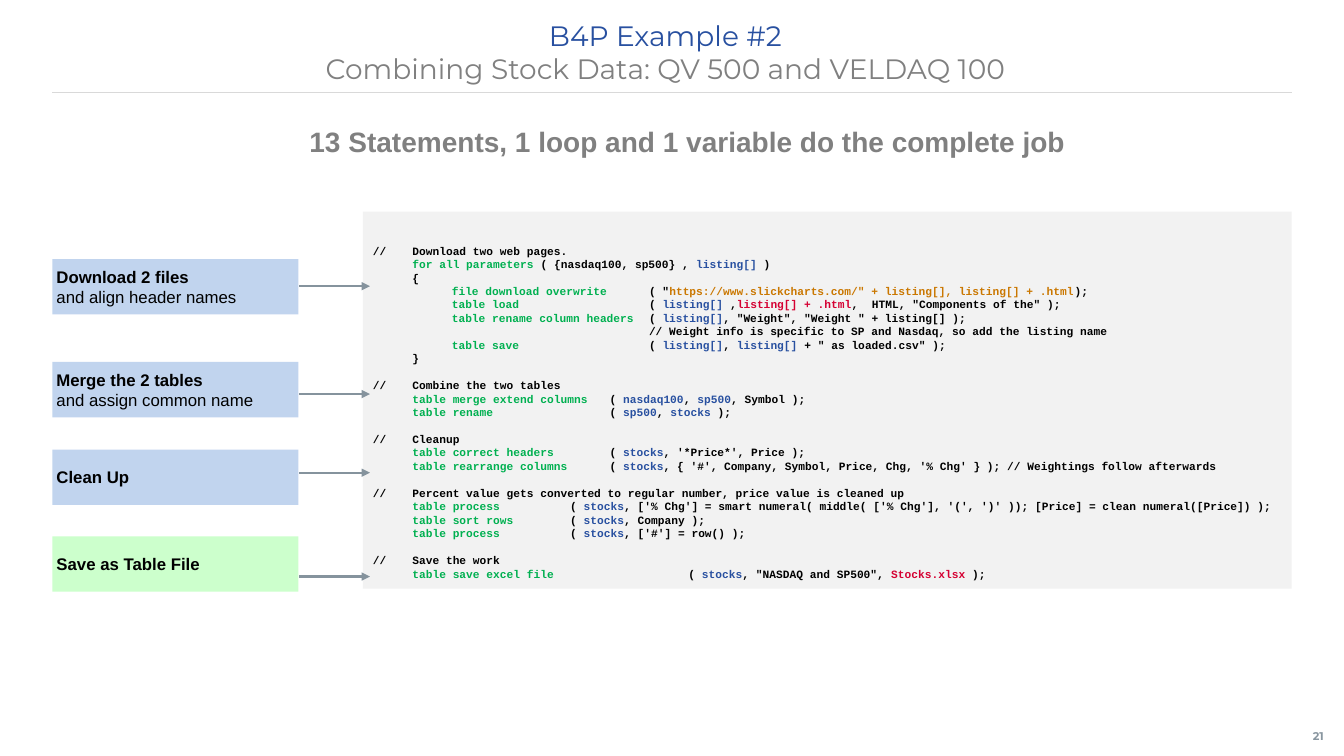
"""Build the B4P example slide with its commented code listing."""
import lxml.etree
import pptx
import pptx.dml.color
import pptx.enum.shapes
import pptx.enum.text
import pptx.oxml.ns
import pptx.util

Inches, Pt = pptx.util.Inches, pptx.util.Pt
RGBColor = pptx.dml.color.RGBColor
ANCHOR = pptx.enum.text.MSO_ANCHOR
ALIGN = pptx.enum.text.PP_ALIGN
AUTO_SIZE = pptx.enum.text.MSO_AUTO_SIZE
qn = pptx.oxml.ns.qn

BLACK = RGBColor(0x00, 0x00, 0x00)
GREEN = RGBColor(0x00, 0xB0, 0x50)
BLUE = RGBColor(0x28, 0x50, 0xA0)
ORANGE = RGBColor(0xCA, 0x77, 0x00)
RED = RGBColor(0xD5, 0x00, 0x32)
GREY = RGBColor(0x80, 0x80, 0x80)
NUMBER_GREY = RGBColor(0x89, 0x96, 0xA0)
ARROW_GREY = RGBColor(0x85, 0x93, 0x9D)
RULE_GREY = RGBColor(0xD9, 0xD9, 0xD9)
PANEL_GREY = RGBColor(0xF2, 0xF2, 0xF2)
STEP_BLUE = RGBColor(0xC1, 0xD4, 0xEE)
STEP_GREEN = RGBColor(0xCC, 0xFF, 0xCC)

CODE_COLOURS = {"k": BLACK, "g": GREEN, "b": BLUE, "o": ORANGE, "r": RED}

# Each "|" starts a run; the letter after it is a key of CODE_COLOURS.
CODE_SECTIONS = [
    [
        "k//\tDownload two web pages.",
        "k\t|gfor all parameters|k ( {nasdaq100, sp500} , |blisting[]|k )",
        "k\t{",
        "k\t\t|gfile download overwrite|k\t\t( \""
        "|ohttps://www.slickcharts.com/\" + listing[], listing[] + .html|k);",
        "k\t\t|gtable load|k\t\t\t\t( |blisting[]|k ,|rlisting[] + .html"
        "|k,  HTML, \"Components of the\" );",
        "k\t\t|gtable rename column headers|k\t( |blisting[]"
        "|k, \"Weight\", \"Weight \" + listing[] );",
        "k\t\t\t\t\t\t\t// Weight info is specific to SP and Nasdaq, so add the listing name",
        "k\t\t|gtable save|k\t\t\t\t( |blisting[]|k, |blisting[]|k + \" as loaded.csv\" );",
        "k\t}",
    ],
    [
        "k//\tCombine the two tables",
        "k\t|gtable merge extend columns|k\t( |bnasdaq100|k, |bsp500|k, Symbol );",
        "k\t|gtable rename|k\t\t\t( |bsp500|k, |bstocks |k);",
    ],
    [
        "k//\tCleanup",
        "k\t|gtable correct headers|k\t\t( |bstocks|k, '*Price*', Price );",
        "k\t|gtable rearrange columns|k\t\t( |bstocks"
        "|k, { '#', Company, Symbol, Price, Chg, '% Chg' } ); // Weightings follow afterwards",
    ],
    [
        "k// \tPercent value gets converted to regular number, price value is cleaned up",
        "k\t|gtable process|k\t\t( |bstocks|k, ['% Chg'] = smart numeral( middle( "
        "['% Chg'], '(', ')' )); [Price] = clean numeral([Price]) );",
        "k\t|gtable sort rows|k\t\t( |bstocks|k, Company );",
        "k\t|gtable process|k\t\t( |bstocks|k, ['#'] = row() );",
    ],
    [
        "k//\tSave the work",
        "k\t|gtable save excel file|k\t\t\t\t( |bstocks|k, \"NASDAQ and SP500\", "
        "|rStocks.xlsx|k );",
    ],
]

STEPS = [
    (2.57, 2.84, STEP_BLUE, ["Download 2 files", "and align header names"]),
    (3.59, 3.91, STEP_BLUE, ["Merge the 2 tables", "and assign common name"]),
    (4.46, 4.69, STEP_BLUE, ["Clean Up"]),
    (5.32, 5.72, STEP_GREEN, ["Save as Table File"]),
]


class ListingSlide:
    """Hold the text styles and the slide, and draw its elements."""

    title_font = {"name": "Montserrat", "size": Pt(20), "bold": False}
    heading_font = {"name": "Arial", "size": Pt(20), "bold": True}
    step_font = {"name": "Arial", "size": Pt(12)}
    code_font = {"name": "Courier New", "size": Pt(8), "bold": True}
    number_font = {"name": "Montserrat", "size": Pt(8), "bold": True}
    code_pitch = Pt(9.6)
    last_tab, tab_count = 3.13, 8

    def __init__(self, deck):
        self.slide = deck.slides.add_slide(deck.slide_layouts[5])

    def apply(self, target, values):
        for attribute, value in values.items():
            setattr(target, attribute, value)

    def frame(self, shape, insets=(0.1, 0.05, 0.1, 0.05), **values):
        sides = ("margin_left", "margin_top", "margin_right", "margin_bottom")
        self.apply(shape.text_frame, dict(zip(sides, map(Inches, insets))))
        self.apply(shape.text_frame, {
            "word_wrap": True, "auto_size": AUTO_SIZE.NONE,
            "vertical_anchor": ANCHOR.TOP, **values})
        return shape.text_frame

    def paragraph(self, frame, index, **values):
        paragraph = frame.add_paragraph() if index else frame.paragraphs[0]
        self.apply(paragraph, {"alignment": ALIGN.LEFT, **values})
        return paragraph

    def run(self, paragraph, text, style, colour):
        run = paragraph.add_run()
        run.text = text
        self.apply(run.font, style)
        run.font.color.rgb = colour

    def title(self, box, lines):
        title = self.slide.shapes.title
        sides = ("left", "top", "width", "height")
        self.apply(title, dict(zip(sides, map(Inches, box))))
        frame = self.frame(title, (0, 0.05, 0.1, 0.05))
        for index, (text, colour) in enumerate(lines):
            paragraph = self.paragraph(frame, index, alignment=ALIGN.CENTER)
            self.run(paragraph, text, self.title_font, colour)

    def text(self, box, text, style, colour, alignment=ALIGN.LEFT, **values):
        label = self.slide.shapes.add_textbox(*map(Inches, box))
        frame = self.frame(label, word_wrap=False, **values)
        self.run(self.paragraph(frame, 0, alignment=alignment), text, style, colour)

    def panel(self, box, fill):
        panel = self.slide.shapes.add_shape(
            pptx.enum.shapes.MSO_SHAPE.RECTANGLE, *map(Inches, box))
        panel.shadow.inherit = False
        panel.fill.solid()
        panel.fill.fore_color.rgb = fill
        panel.line.fill.background()
        return panel

    def step(self, box, fill, lines):
        frame = self.frame(self.panel(box, fill), (0.04,) * 4,
                           vertical_anchor=ANCHOR.MIDDLE)
        for index, text in enumerate(lines):
            style = {**self.step_font, "bold": index == 0}
            self.run(self.paragraph(frame, index), text, style, BLACK)

    def line(self, start, end, colour, width, arrow=False):
        line = self.slide.shapes.add_connector(
            pptx.enum.shapes.MSO_CONNECTOR.STRAIGHT, *map(Inches, start + end))
        line.line.color.rgb = colour
        line.line.width = Pt(width)
        properties = line._element.spPr
        if arrow:
            outline = properties.find(qn("a:ln"))
            lxml.etree.SubElement(outline, qn("a:tailEnd"), type="triangle")
        lxml.etree.SubElement(properties, qn("a:effectLst"))

    def tabs(self, paragraph):
        stops = lxml.etree.SubElement(paragraph._p.get_or_add_pPr(), qn("a:tabLst"))
        for stop in range(1, self.tab_count + 1):
            position = Inches(self.last_tab * stop / self.tab_count)
            lxml.etree.SubElement(stops, qn("a:tab"), pos=str(position), algn="l")

    def code(self, box, fill, sections):
        frame = self.frame(self.panel(box, fill), (0.1, 0.32, 0.1, 0.05))
        index = 0
        for section in sections:
            for row, code_line in enumerate(section):
                gap = self.code_pitch if index and not row else Pt(0)
                paragraph = self.paragraph(
                    frame, index, line_spacing=self.code_pitch, space_before=gap)
                self.tabs(paragraph)
                for piece in code_line.split("|"):
                    self.run(paragraph, piece[1:], self.code_font, CODE_COLOURS[piece[0]])
                index += 1


def main():
    deck = pptx.Presentation()
    deck.slide_width, deck.slide_height = Inches(13.33), Inches(7.5)
    page = ListingSlide(deck)
    page.line((0.52, 0.92), (12.81, 0.92), RULE_GREY, 1)
    page.text((12.89, 7.11, 0.45, 0.39), "21", page.number_font, NUMBER_GREY,
              ALIGN.CENTER, insets=(0, 0.05, 0.08, 0.05), vertical_anchor=ANCHOR.MIDDLE)
    page.code((3.6, 2.1, 9.21, 3.74), PANEL_GREY, CODE_SECTIONS)
    for top, arrow_y, fill, lines in STEPS:
        page.step((0.52, top, 2.44, 0.55), fill, lines)
        page.line((2.97, arrow_y), (3.67, arrow_y), ARROW_GREY, 1.5, arrow=True)
    page.text((2.97, 1.19, 7.75, 0.44),
              "13 Statements, 1 loop and 1 variable do the complete job",
              page.heading_font, GREY, auto_size=AUTO_SIZE.SHAPE_TO_FIT_TEXT)
    page.title((0.51, 0.13, 12.28, 0.79), [
        ("B4P Example #2", BLUE),
        ("Combining Stock Data: QV 500 and VELDAQ 100", GREY)])
    deck.save("out.pptx")


if __name__ == "__main__":
    main()
